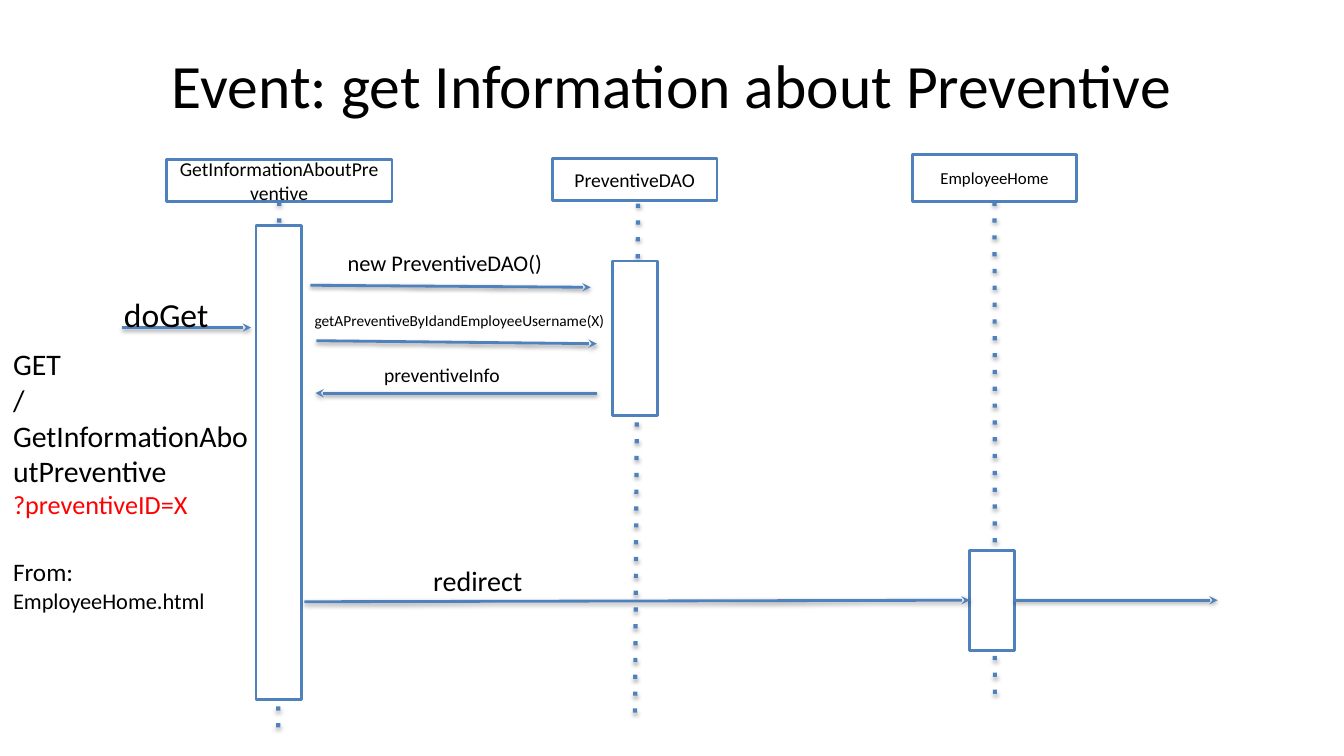
"""Build a sequence diagram slide for the event that gets preventive information."""
from dataclasses import dataclass

from lxml import etree
from pptx import Presentation
from pptx import util as u
from pptx.dml.color import RGBColor
from pptx.enum import shapes, text
from pptx.oxml.ns import qn


@dataclass(frozen=True)
class Theme:
    font: str = "Calibri"
    ink: str = "000000"
    paper: str = "FFFFFF"
    accent: str = "4F81BD"
    alert: str = "FF0000"
    title: float = 44
    call: float = 24
    request: float = 21.3
    redirect: float = 20
    query: float = 18.7
    source: float = 18
    body: float = 16
    small: float = 14
    compact: float = 12
    tiny: float = 11
    outline: float = 2
    lifeline: float = 3


class SequenceSlide:
    columns, rows = 40, 30

    def __init__(self, presentation, theme):
        self.theme = theme
        self.column = presentation.slide_width / self.columns
        self.row = presentation.slide_height / self.rows
        self.slide = presentation.slides.add_slide(presentation.slide_layouts[5])

    def place(self, left, top, width, height):
        return (round(left * self.column), round(top * self.row),
                round(width * self.column), round(height * self.row))

    def fill_text(self, shape, lines, align, anchor):
        frame = shape.text_frame
        frame.word_wrap = True
        frame.auto_size = text.MSO_AUTO_SIZE.NONE
        frame.vertical_anchor = anchor
        frame.margin_left = frame.margin_right = u.Inches(0.13)
        frame.margin_top = frame.margin_bottom = u.Inches(0.07)
        for index, (words, size, color, gap) in enumerate(lines):
            paragraph = frame.paragraphs[0] if index == 0 else frame.add_paragraph()
            paragraph.text = words
            paragraph.alignment = align
            if gap:
                paragraph.space_before = u.Pt(gap)
            paragraph.font.name = self.theme.font
            paragraph.font.size = u.Pt(size)
            paragraph.font.color.rgb = RGBColor.from_string(color)

    def title(self, words, box):
        shape = self.slide.shapes.title
        shape.left, shape.top, shape.width, shape.height = self.place(*box)
        self.fill_text(shape, [(words, self.theme.title, self.theme.ink, 0)],
                       text.PP_ALIGN.CENTER, text.MSO_ANCHOR.MIDDLE)

    def label(self, lines, box, align=text.PP_ALIGN.LEFT):
        shape = self.slide.shapes.add_textbox(*self.place(*box))
        self.fill_text(shape, lines, align, text.MSO_ANCHOR.TOP)

    def rectangle(self, box, words="", size=0):
        shape = self.slide.shapes.add_shape(
            shapes.MSO_SHAPE.RECTANGLE, *self.place(*box))
        shape.shadow.inherit = False
        shape.fill.solid()
        shape.fill.fore_color.rgb = RGBColor.from_string(self.theme.paper)
        shape.line.color.rgb = RGBColor.from_string(self.theme.accent)
        shape.line.width = u.Pt(self.theme.outline)
        if words:
            self.fill_text(shape, [(words, size, self.theme.ink, 0)],
                           text.PP_ALIGN.CENTER, text.MSO_ANCHOR.MIDDLE)
        return shape

    def connector(self, ends, width, tag, attributes, alpha, distance):
        x1, y1, x2, y2 = self.place(*ends)
        connector = self.slide.shapes.add_connector(
            shapes.MSO_CONNECTOR.STRAIGHT, x1, y1, x2, y2)
        connector.line.color.rgb = RGBColor.from_string(self.theme.accent)
        connector.line.width = u.Pt(width)
        properties = connector._element.spPr
        etree.SubElement(properties.find(qn("a:ln")), qn(tag), attributes)
        effects = etree.SubElement(properties, qn("a:effectLst"))
        shadow = etree.SubElement(effects, qn("a:outerShdw"), {
            "blurRad": str(int(u.Pt(3.1))), "dist": str(int(u.Pt(distance))),
            "dir": "5400000", "rotWithShape": "0"})
        color = etree.SubElement(shadow, qn("a:srgbClr"), {"val": self.theme.ink})
        etree.SubElement(color, qn("a:alpha"), {"val": str(alpha * 1000)})
        return connector

    def lifeline(self, ends):
        return self.connector(ends, self.theme.lifeline, "a:prstDash",
                              {"val": "dot"}, 35, 1.8)

    def message(self, ends):
        return self.connector(ends, self.theme.outline, "a:tailEnd",
                              {"type": "stealth"}, 38, 1.6)

    def participant(self, name, size, head_box, line_ends, bar_box, joined=True):
        head = self.rectangle(head_box, name, size)
        line = self.lifeline(line_ends)
        if joined:
            line.begin_connect(head, 2)
        return self.rectangle(bar_box)


def main():
    presentation = Presentation()
    presentation.slide_width, presentation.slide_height = u.Inches(13.33), u.Inches(7.5)
    theme = Theme()
    diagram = SequenceSlide(presentation, theme)
    diagram.title("Event: get Information about Preventive", (2, 1.2, 36, 4.28))

    diagram.participant(
        "GetInformationAboutPreventive", theme.small, (4.95, 6.32, 6.72, 1.68),
        (8.31, 8, 8.28, 28.92), (7.62, 8.96, 1.35, 18.8))
    diagram.participant(
        "PreventiveDAO", theme.small, (16.44, 6.28, 4.9, 1.68),
        (18.99, 8.08, 18.9, 28.36), (18.24, 10.36, 1.33, 6.12), joined=False)
    home_bar = diagram.participant(
        "EmployeeHome", theme.compact, (27.15, 6.12, 4.9, 1.88),
        (29.6, 8, 29.61, 27.92), (28.86, 21.84, 1.33, 3.96))

    for ends in [(3.63, 13, 7.47, 13),
                 (9.24, 11.32, 17.58, 11.4),
                 (9.42, 13.52, 17.76, 13.64),
                 (17.76, 15.6, 9.39, 15.6)]:
        diagram.message(ends)
    diagram.message((9.06, 23.88, 28.86, 23.82)).end_connect(home_bar, 1)
    diagram.message((30.19, 23.82, 36.24, 23.82)).begin_connect(home_bar, 3)

    left, center = text.PP_ALIGN.LEFT, text.PP_ALIGN.CENTER
    for words, size, box, align in [
            ("doGet", theme.call, (3.3, 11.4, 4.02, 1.6), left),
            ("new PreventiveDAO()", theme.body, (9.96, 9.6, 7.05, 1.36), left),
            ("getAPreventiveByIdandEmployeeUsername(X)", theme.tiny,
             (8.97, 12.08, 9.96, 1.36), left),
            ("preventiveInfo", theme.small, (11.04, 14.12, 5.64, 1.12), left),
            ("redirect", theme.redirect, (11.4, 22.08, 5.64, 1.12), center)]:
        diagram.label([(words, size, theme.ink, 0)], box, align)

    diagram.label([
        ("GET", theme.request, theme.ink, 0),
        ("/GetInformationAboutPreventive", theme.request, theme.ink, 0),
        ("?preventiveID=X", theme.query, theme.alert, 0),
        ("From:", theme.source, theme.ink, 26),
        ("EmployeeHome.html", theme.body, theme.ink, 0),
    ], (0, 13.44, 8.06, 8.64))

    presentation.save("out.pptx")


if __name__ == "__main__":
    main()
